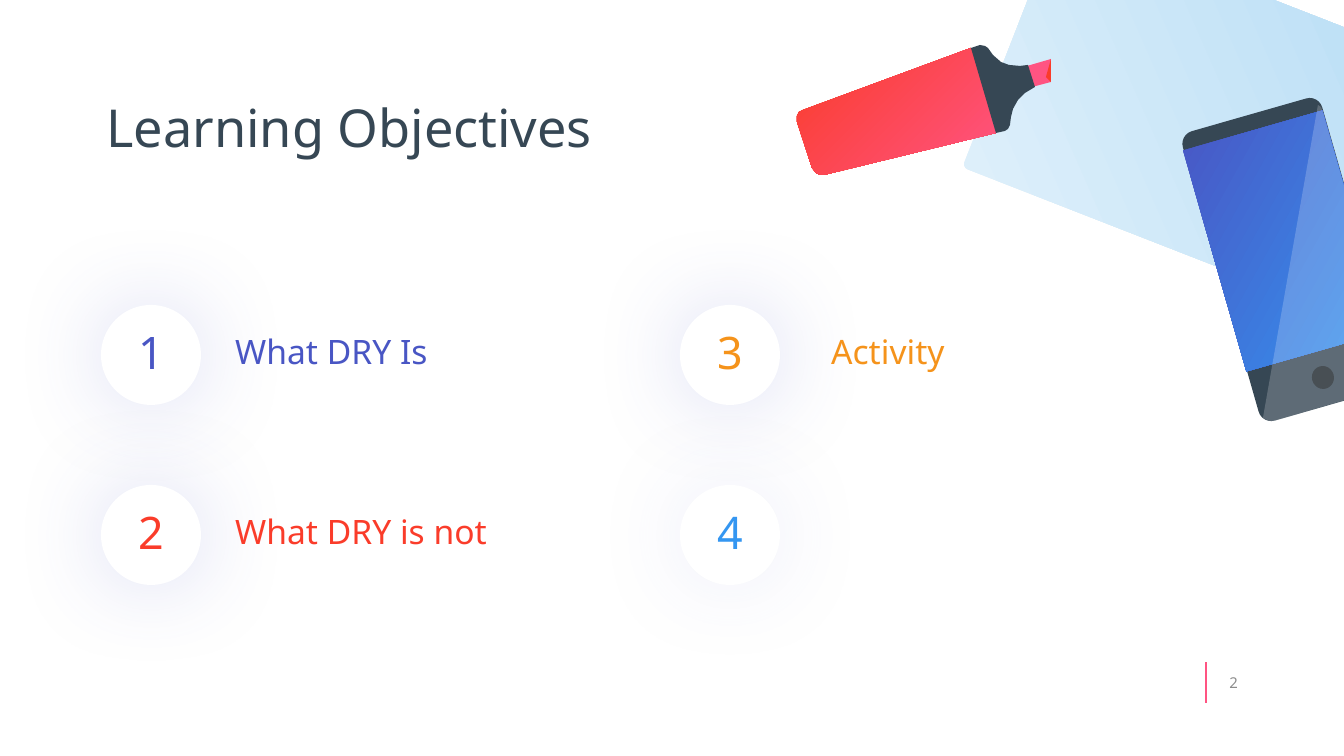
from lxml import etree
from pptx import Presentation
from pptx.dml.color import RGBColor
from pptx.enum.shapes import MSO_CONNECTOR, MSO_SHAPE
from pptx.enum.text import MSO_ANCHOR, PP_ALIGN
from pptx.oxml.ns import qn
from pptx.util import Pt

WIDTH, HEIGHT = 1344, 756
SCALE = 914400 / 134.4
FONT = "Noto Sans"

WHITE = RGBColor(0xFF, 0xFF, 0xFF)
SLATE = RGBColor(0x36, 0x47, 0x54)
INK = RGBColor(0x1B, 0x23, 0x2A)
GRAY = RGBColor(0x8C, 0x8C, 0x8C)
INDIGO = RGBColor(0x49, 0x56, 0xC4)
BLUE = RGBColor(0x34, 0x96, 0xF1)
RED = RGBColor(0xFA, 0x3C, 0x2A)
PINK = RGBColor(0xFF, 0x54, 0x82)
ORANGE = RGBColor(0xF5, 0x93, 0x1B)
PALE_SKY = RGBColor(0xE1, 0xF1, 0xFB)
SKY = RGBColor(0xB7, 0xDD, 0xF5)

STRAIGHT = MSO_CONNECTOR.STRAIGHT
ELLIPSE, RECTANGLE = MSO_SHAPE.OVAL, MSO_SHAPE.RECTANGLE
ROUNDED = MSO_SHAPE.ROUNDED_RECTANGLE
LEFT, CENTER, RIGHT = PP_ALIGN.LEFT, PP_ALIGN.CENTER, PP_ALIGN.RIGHT
TOP, MIDDLE, BOTTOM = MSO_ANCHOR.TOP, MSO_ANCHOR.MIDDLE, MSO_ANCHOR.BOTTOM


def emu(pixels):
    return round(pixels * SCALE)


class SlideBuilder:
    def __init__(self, presentation):
        self.slide = presentation.slides.add_slide(presentation.slide_layouts[5])
        self.shapes = self.slide.shapes

    def start_group(self):
        self.shapes = self.slide.shapes.add_group_shape().shapes

    def end_group(self):
        self.shapes = self.slide.shapes

    def paint(self, shape, fill):
        """Fill with one colour, or with a diagonal gradient for a pair."""
        shape.shadow.inherit = False
        shape.line.fill.background()
        if isinstance(fill, tuple) and not isinstance(fill, RGBColor):
            shape.fill.gradient()
            shape.fill.gradient_angle = 315
            for stop, color, position in zip(shape.fill.gradient_stops, fill, (0, 1)):
                stop.color.rgb = color
                stop.position = position
        else:
            shape.fill.solid()
            shape.fill.fore_color.rgb = fill
        return shape

    def preset(self, kind, box, fill, rotation=0, corner=None):
        shape = self.shapes.add_shape(kind, *map(emu, box))
        shape.rotation = rotation
        if corner is not None:
            shape.adjustments[0] = corner
        return self.paint(shape, fill)

    def outline(self, points, fill, opacity=None):
        builder = self.shapes.build_freeform(*points[0], scale=SCALE)
        builder.add_line_segments(points[1:], close=True)
        shape = self.paint(builder.convert_to_shape(), fill)
        if opacity is not None:
            color = shape.element.spPr.find(qn("a:solidFill"))[0]
            etree.SubElement(color, qn("a:alpha"), val=str(opacity * 1000))
        return shape

    def glow(self, shape, color, opacity, blur):
        effects = shape.element.spPr.find(qn("a:effectLst"))
        shadow = etree.SubElement(effects, qn("a:outerShdw"), blurRad=str(Pt(blur)),
                                  dist="0", dir="0", algn="ctr", rotWithShape="0")
        tint = etree.SubElement(shadow, qn("a:srgbClr"), val=str(color))
        etree.SubElement(tint, qn("a:alpha"), val=str(opacity * 1000))

    def set_text(self, shape, text, size, color, align=LEFT, anchor=TOP,
                 line_spacing=0.9, space_before=0):
        frame = shape.text_frame
        frame.word_wrap = True
        frame.vertical_anchor = anchor
        paragraph = frame.paragraphs[0]
        paragraph.text = text
        paragraph.alignment = align
        paragraph.line_spacing = line_spacing
        paragraph.space_before = Pt(space_before)
        paragraph.font.name = FONT
        paragraph.font.size = Pt(size)
        paragraph.font.color.rgb = color

    def title(self, box, text):
        title = self.slide.shapes.title
        title.left, title.top, title.width, title.height = map(emu, box)
        self.set_text(title, text, 28, SLATE, anchor=BOTTOM)

    def text(self, box, text, size, color, **style):
        text_box = self.shapes.add_textbox(*map(emu, box))
        self.set_text(text_box, text, size, color, **style)

    def line(self, start, end, color, width):
        line = self.shapes.add_connector(STRAIGHT, *map(emu, start + end))
        line.line.color.rgb = color
        line.line.width = Pt(width)
        etree.SubElement(line.element.spPr, qn("a:effectLst"))


presentation = Presentation()
presentation.slide_width, presentation.slide_height = emu(WIDTH), emu(HEIGHT)
page = SlideBuilder(presentation)

# Title and page number
page.title((93, 19, 587, 147), "Learning Objectives")
page.line((1206, 703), (1206, 662), PINK, 1)
page.text((1179, 662, 72, 41), "2", 8, GRAY, align=RIGHT, anchor=MIDDLE,
          line_spacing=1)

# Numbered objectives, filled column by column; the last one has no label yet
objectives = [("What DRY Is", INDIGO, 20), ("What DRY is not", RED, 20),
              ("Activity", ORANGE, 20), ("", BLUE, 10)]
columns = [(101, 222), (680, 818)]
for index, (label, color, glow_opacity) in enumerate(objectives):
    column, row = divmod(index, 2)
    circle_left, label_left = columns[column]
    top = 305 + row * 180
    circle = page.preset(ELLIPSE, (circle_left, top, 100, 100), WHITE)
    page.glow(circle, INDIGO, glow_opacity, 50)
    page.set_text(circle, str(index + 1), 24, color, align=CENTER, anchor=MIDDLE,
                  space_before=7.5)
    if label:
        page.text((label_left, top + 24, 331, 51), label, 18, color,
                  space_before=7.5)

# Sheet of paper
page.preset(ROUNDED, (1054, -79, 269, 380), (PALE_SKY, SKY), 291.3, 0.02)

# Marker pen
page.start_group()
page.outline([(1051, 59), (1051, 82), (1032, 87), (1027, 66)], PINK)
page.outline([(971, 48), (996, 133), (824, 175), (820, 175), (816, 173),
              (812, 168), (797, 122), (797, 116), (799, 112), (803, 110)],
             (RED, PINK))
page.outline([(1028, 65), (1035, 87), (1025, 93), (1018, 100), (1013, 109),
              (1011, 117), (1010, 125), (1008, 129), (1005, 131), (996, 133),
              (971, 48), (980, 45), (985, 46), (988, 48), (993, 55), (1001, 62),
              (1009, 65), (1020, 66)], SLATE)
page.outline([(1051, 59), (1051, 82), (1046, 77)], RED)
page.end_group()

# Phone with a glare across the screen
page.start_group()
page.preset(ROUNDED, (1218, 109, 145, 301), SLATE, 344, 0.09)
page.preset(RECTANGLE, (1212, 126, 145, 230), (INDIGO, BLUE), 344)
page.preset(ELLIPSE, (1312, 366, 22, 23), INK, 344)
page.outline([(1318, 105), (1321, 107), (1323, 112), (1396, 368), (1396, 380),
              (1387, 388), (1274, 421), (1269, 421), (1263, 418)], WHITE, 20)
page.end_group()

presentation.save("out.pptx")
